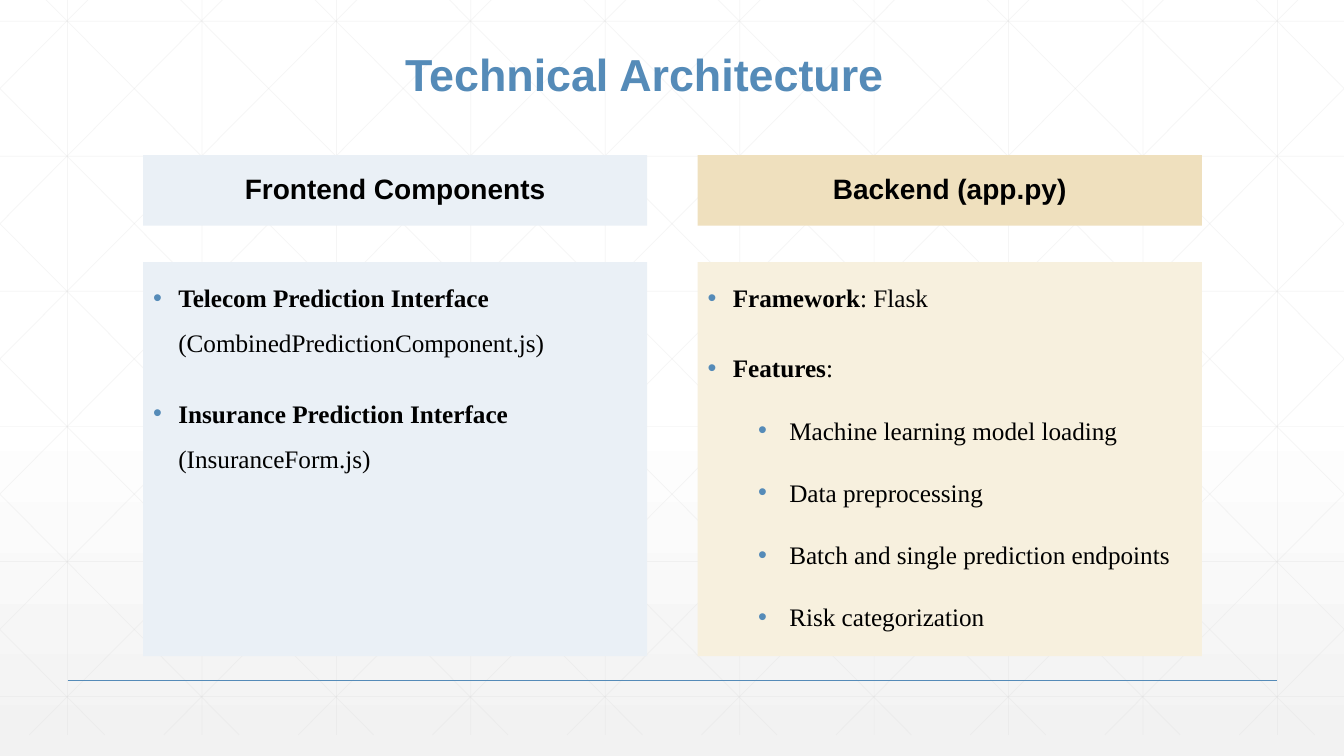
"""Build the Technical Architecture slide with frontend and backend columns."""
from dataclasses import dataclass

from pptx import Presentation
from pptx.dml.color import RGBColor
from pptx.enum.shapes import MSO_CONNECTOR, MSO_SHAPE
from pptx.enum.text import MSO_ANCHOR, PP_ALIGN
from pptx.oxml import parse_xml
from pptx.oxml.ns import nsdecls, qn
from pptx.util import Inches, Pt

STRAIGHT = MSO_CONNECTOR.STRAIGHT
RECT = MSO_SHAPE.RECTANGLE
TOP, MIDDLE, BOTTOM = MSO_ANCHOR.TOP, MSO_ANCHOR.MIDDLE, MSO_ANCHOR.BOTTOM
LEFT, CENTER = PP_ALIGN.LEFT, PP_ALIGN.CENTER

BLUE = RGBColor(0x55, 0x8B, 0xB8)
BLACK = RGBColor(0x00, 0x00, 0x00)
GRID_GRAY = RGBColor(0xD9, 0xD9, 0xD9)
PALE_BLUE = RGBColor(0xEA, 0xF0, 0xF6)
SAND = RGBColor(0xEF, 0xE0, 0xBE)
PALE_SAND = RGBColor(0xF7, 0xF0, 0xDE)

WIDTH, HEIGHT = 13.33, 7.5
GRID_TOP, GRID_BOTTOM = -0.21, 7.29
GRID_STEP = 4 / 3
DIAGONAL_RUN = 7.455


@dataclass(frozen=True)
class Bullet:
    bold: str
    plain: str
    level: int = 0


@dataclass(frozen=True)
class Column:
    left: float
    heading: str
    heading_fill: RGBColor
    body_fill: RGBColor
    bullets: tuple[Bullet, ...]


@dataclass(frozen=True)
class BulletStyle:
    margin: float
    hanging: float
    before: int


LEVELS = (BulletStyle(0.25, 0.25, 18), BulletStyle(0.81, 0.31, 12))

COLUMNS = (
    Column(1.42, "Frontend Components", PALE_BLUE, PALE_BLUE, (
        Bullet("Telecom Prediction Interface", " (CombinedPredictionComponent.js)"),
        Bullet("Insurance Prediction Interface", " (InsuranceForm.js)"),
    )),
    Column(6.92, "Backend (app.py)", SAND, PALE_SAND, (
        Bullet("Framework", ": Flask"),
        Bullet("Features", ":"),
        Bullet("", "Machine learning model loading", 1),
        Bullet("", "Data preprocessing", 1),
        Bullet("", "Batch and single prediction endpoints", 1),
        Bullet("", "Risk categorization", 1),
    )),
)


def set_background(s) -> None:
    """Fade the background from white to light gray."""
    fill = s.background.fill
    fill.gradient()
    fill.gradient_angle = 270
    stops = s.element.find(".//" + qn("a:gsLst"))
    stops.getparent().replace(stops, parse_xml(
        f'<a:gsLst {nsdecls("a")}>'
        '<a:gs pos="0"><a:srgbClr val="FFFFFF"/></a:gs>'
        '<a:gs pos="53000"><a:srgbClr val="FFFFFF"/></a:gs>'
        '<a:gs pos="100000"><a:srgbClr val="F2F2F2"><a:alpha val="65000"/></a:srgbClr></a:gs>'
        '</a:gsLst>'))


def add_line(shapes, x1: float, y1: float, x2: float, y2: float,
             color: RGBColor, width: float, opacity: int = 100) -> None:
    """Draw a straight line, optionally translucent."""
    sp = shapes.add_connector(STRAIGHT, Inches(x1), Inches(y1), Inches(x2), Inches(y2))
    sp.line.color.rgb = color
    sp.line.width = Pt(width)
    props = sp.element.spPr
    if opacity < 100:
        props.find(".//" + qn("a:srgbClr")).append(
            parse_xml(f'<a:alpha {nsdecls("a")} val="{opacity * 1000}"/>'))
    props.append(parse_xml(f'<a:effectLst {nsdecls("a")}/>'))


def add_grid(s) -> None:
    """Draw the faint lattice, clipping diagonals at the slide's sides."""
    shapes = s.shapes.add_group_shape().shapes
    style = (GRID_GRAY, 0.5, 25)
    for i in range(10):
        x = 0.67 + i * GRID_STEP
        add_line(shapes, x, GRID_TOP, x, GRID_BOTTOM, *style)
    for i in range(6):
        y = 0.21 + i * 1.34
        add_line(shapes, 0, y, WIDTH, y, *style)
    slope = (GRID_BOTTOM - GRID_TOP) / DIAGONAL_RUN
    for i in range(-5, 10):
        start = 0.25 + i * GRID_STEP
        x1, x2 = max(start, 0), min(start + DIAGONAL_RUN, WIDTH)
        y1, y2 = (GRID_TOP + (x - start) * slope for x in (x1, x2))
        add_line(shapes, x1, y1, x2, y2, *style)
        add_line(shapes, WIDTH - x1, y1, WIDTH - x2, y2, *style)


def add_text(p, text: str, *, size: int, font: str = "Arial",
             color: RGBColor = BLACK, bold: bool = True) -> None:
    """Append a formatted run to a paragraph."""
    r = p.add_run()
    r.text = text
    r.font.size = Pt(size)
    r.font.name = font
    r.font.color.rgb = color
    r.font.bold = bold


def add_panel(s, left: float, top: float, height: float, fill: RGBColor, anchor: MSO_ANCHOR):
    """Add a filled column panel and return its text frame."""
    sp = s.shapes.add_shape(RECT, Inches(left), Inches(top), Inches(5), Inches(height))
    sp.shadow.inherit = False
    sp.fill.solid()
    sp.fill.fore_color.rgb = fill
    sp.line.fill.background()
    tf = sp.text_frame
    tf.word_wrap = True
    tf.vertical_anchor = anchor
    return tf


def add_bullet(p, bullet: Bullet) -> None:
    """Fill a paragraph with one bulleted entry."""
    style = LEVELS[bullet.level]
    p.level = bullet.level
    p.alignment = LEFT
    p.line_spacing = 1.5
    p.space_before = Pt(style.before)
    props = p._p.get_or_add_pPr()
    props.set("marL", str(Inches(style.margin)))
    props.set("indent", str(-Inches(style.hanging)))
    for xml in (f'<a:buClr {nsdecls("a")}><a:srgbClr val="{BLUE}"/></a:buClr>',
                f'<a:buFont {nsdecls("a")} typeface="Arial"/>',
                f'<a:buChar {nsdecls("a")} char="•"/>'):
        props.append(parse_xml(xml))
    for text, bold in ((bullet.bold, True), (bullet.plain, False)):
        if text:
            add_text(p, text, size=18, font="Times New Roman", bold=bold)


def add_column(s, column: Column) -> None:
    """Draw a heading panel and the bulleted panel below it."""
    p = add_panel(s, column.left, 1.54, 0.7, column.heading_fill, MIDDLE).paragraphs[0]
    p.alignment = CENTER
    p.line_spacing = 0.9
    add_text(p, column.heading, size=20)
    tf = add_panel(s, column.left, 2.6, 3.91, column.body_fill, TOP)
    for i, bullet in enumerate(column.bullets):
        add_bullet(tf.add_paragraph() if i else tf.paragraphs[0], bullet)


def add_title(s) -> None:
    """Add the slide title."""
    tf = s.shapes.add_textbox(Inches(3.92), Inches(0.35), Inches(5), Inches(0.7)).text_frame
    tf.word_wrap = True
    tf.vertical_anchor = BOTTOM
    p = tf.paragraphs[0]
    p.line_spacing = 0.9
    add_text(p, "Technical Architecture", size=32, color=BLUE)


def main() -> None:
    """Build and save the presentation."""
    prs = Presentation()
    prs.slide_width, prs.slide_height = Inches(WIDTH), Inches(HEIGHT)
    s = prs.slides.add_slide(prs.slide_layouts[6])
    set_background(s)
    add_grid(s)
    add_line(s.shapes, 0.67, 6.75, 12.67, 6.75, BLUE, 1)
    add_title(s)
    for column in COLUMNS:
        add_column(s, column)
    prs.save("out.pptx")


if __name__ == "__main__":
    main()
